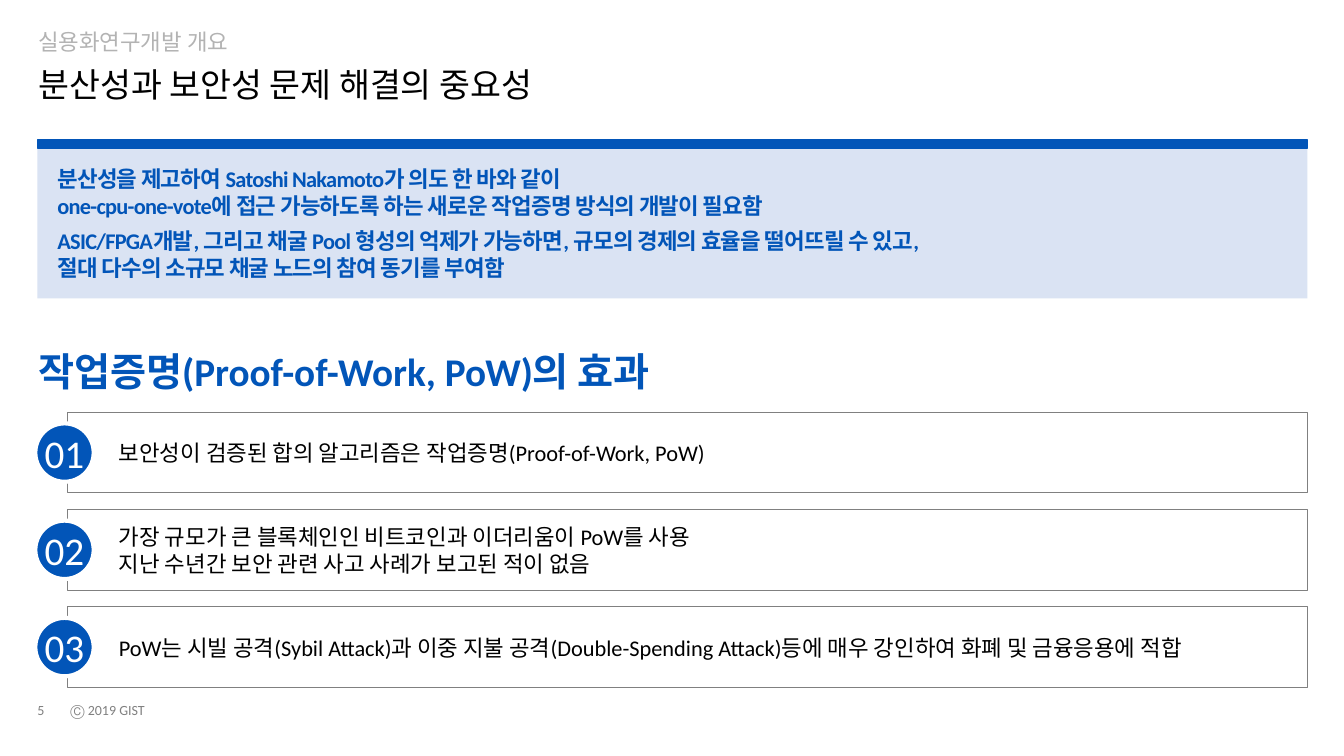
from copy import deepcopy

from lxml.etree import SubElement
from pptx import Presentation
from pptx.dml.color import RGBColor
from pptx.enum.shapes import MSO_SHAPE
from pptx.enum.text import MSO_ANCHOR, MSO_AUTO_SIZE, PP_ALIGN
from pptx.oxml.ns import qn
from pptx.util import Pt

BLUE = RGBColor(0x02, 0x55, 0xB8)
PALE_BLUE = RGBColor(0xDA, 0xE3, 0xF3)
BLACK = RGBColor(0, 0, 0)
GRAY = RGBColor(0x80, 0x80, 0x80)
LIGHT_GRAY = RGBColor(0xB3, 0xB3, 0xB3)
WHITE = RGBColor(0xFF, 0xFF, 0xFF)

SUMMARY = [
    "분산성을 제고하여 Satoshi Nakamoto가 의도 한 바와 같이\n"
    "one-cpu-one-vote에 접근 가능하도록 하는 새로운 작업증명 방식의 개발이 필요함",
    "ASIC/FPGA개발, 그리고 채굴 Pool 형성의 억제가 가능하면, 규모의 경제의 효율을 떨어뜨릴 수 있고,\n"
    "절대 다수의 소규모 채굴 노드의 참여 동기를 부여함",
]
EFFECTS = [
    ["보안성이 검증된 합의 알고리즘은 작업증명(Proof-of-Work, PoW)"],
    ["가장 규모가 큰 블록체인인 비트코인과 이더리움이 PoW를 사용",
     "지난 수년간 보안 관련 사고 사례가 보고된 적이 없음"],
    ["PoW는 시빌 공격(Sybil Attack)과 이중 지불 공격(Double-Spending Attack)등에 "
     "매우 강인하여 화폐 및 금융응용에 적합"],
]
LEFT, WIDTH = 26.64, 907.2
ROW_TOP, ROW_PITCH = 294.48, 69.48


class SlideBuilder:
    """Draws styled elements on one slide, with lengths in points."""

    font_name = "Calibri"

    def __init__(self, slide):
        self.slide = slide

    def fill_text(self, shape, lines, size, color, bold=False, tracking=None, gap=0,
                  align=PP_ALIGN.LEFT, line_spacing=None, insets=(7.2, 3.6, 7.2, 3.6),
                  anchor=MSO_ANCHOR.MIDDLE, wrap=True, fit=MSO_AUTO_SIZE.NONE):
        frame = shape.text_frame
        sides = ("margin_left", "margin_top", "margin_right", "margin_bottom")
        frame_format = dict(zip(sides, map(Pt, insets)))
        frame_format.update(vertical_anchor=anchor, word_wrap=wrap, auto_size=fit)
        for name, value in frame_format.items():
            setattr(frame, name, value)
        for index, line in enumerate(lines):
            paragraph = frame.add_paragraph() if index else frame.paragraphs[0]
            paragraph.text = line
            paragraph_format = {"alignment": align, "line_spacing": line_spacing,
                                "space_before": Pt(gap if index else 0)}
            for name, value in paragraph_format.items():
                setattr(paragraph, name, value)
            for run in paragraph.runs:
                run_format = {"name": self.font_name, "size": Pt(size), "bold": bold}
                for name, value in run_format.items():
                    setattr(run.font, name, value)
                run.font.color.rgb = color
                if tracking:
                    run._r.get_or_add_rPr().set("spc", str(int(tracking * 100)))
            for line_break in paragraph._p.findall(qn("a:br")):
                line_break.append(deepcopy(paragraph.runs[0]._r.rPr))

    def place(self, placeholder, box, line, **style):
        for name, value in zip(("left", "top", "width", "height"), box):
            setattr(placeholder, name, Pt(value))
        self.fill_text(placeholder, [line], line_spacing=0.9, **style)
        properties = placeholder.text_frame.paragraphs[0]._p.get_or_add_pPr()
        properties.set("marL", "0")
        properties.set("indent", "0")
        SubElement(properties, qn("a:buNone"))

    def label(self, box, line, **style):
        textbox = self.slide.shapes.add_textbox(*map(Pt, box))
        self.fill_text(textbox, [line], wrap=False, **style)

    def shape(self, kind, box, fill=None, line=None, line_width=1, parent=None):
        shape = (parent or self.slide).shapes.add_shape(kind, *map(Pt, box))
        shape.shadow.inherit = False
        if fill is None:
            shape.fill.background()
        else:
            shape.fill.solid()
            shape.fill.fore_color.rgb = fill
        if line is None:
            shape.line.fill.background()
        else:
            shape.line.color.rgb = line
            shape.line.width = Pt(line_width)
        return shape

    def numbered_row(self, number, top, lines):
        group = self.slide.shapes.add_group_shape()
        frame = self.shape(MSO_SHAPE.RECTANGLE, (48.24, top, 885.6, 57.6),
                           line=GRAY, line_width=0.5, parent=group)
        self.fill_text(frame, lines, 16, BLACK, insets=(36.72, 3.6, 7.2, 3.6))
        badge = self.shape(MSO_SHAPE.OVAL, (25.2, top + 7.92, 41.76, 41.76),
                           BLUE, WHITE, 3, group)
        self.fill_text(badge, [f"{number:02}"], 28, WHITE, align=PP_ALIGN.CENTER,
                       insets=(0, 0, 0, 0))


def main():
    presentation = Presentation()
    presentation.slide_width, presentation.slide_height = Pt(960), Pt(540)
    slide = presentation.slides.add_slide(presentation.slide_layouts[1])
    builder = SlideBuilder(slide)

    builder.place(slide.shapes.title, (27.36, 45.36, WIDTH, 33.12),
                  "분산성과 보안성 문제 해결의 중요성", size=24, color=BLACK,
                  insets=(0, 3.6, 7.2, 3.6), anchor=MSO_ANCHOR.TOP)
    builder.place(slide.placeholders[1], (27.36, 18.72, WIDTH, 24.48),
                  "실용화연구개발 개요", size=16, color=LIGHT_GRAY,
                  insets=(0, 3.6, 5.76, 3.6), anchor=MSO_ANCHOR.BOTTOM)

    summary = builder.shape(MSO_SHAPE.RECTANGLE, (LEFT, 105.84, WIDTH, 107.28), PALE_BLUE)
    builder.fill_text(summary, SUMMARY, 16, BLUE, bold=True, tracking=-0.5, gap=6,
                      insets=(14.4, 3.6, 28.08, 3.6))
    builder.shape(MSO_SHAPE.RECTANGLE, (LEFT, 100.08, WIDTH, 5.76), BLUE, BLUE)

    builder.label((20.16, 244.8, 474.48, 41.04), "작업증명(Proof-of-Work, PoW)의 효과",
                  size=28, color=BLUE, bold=True, anchor=MSO_ANCHOR.TOP,
                  fit=MSO_AUTO_SIZE.SHAPE_TO_FIT_TEXT)
    for index, lines in enumerate(EFFECTS):
        builder.numbered_row(index + 1, ROW_TOP + index * ROW_PITCH, lines)

    builder.label((43.2, 497.52, 68.4, 19.44), "Ⓒ 2019 GIST", size=10, color=GRAY)
    builder.label((LEFT, 498.24, 28.08, 17.28), "5", size=10, color=GRAY,
                  insets=(0, 0, 0, 0))
    presentation.save("out.pptx")


if __name__ == "__main__":
    main()
